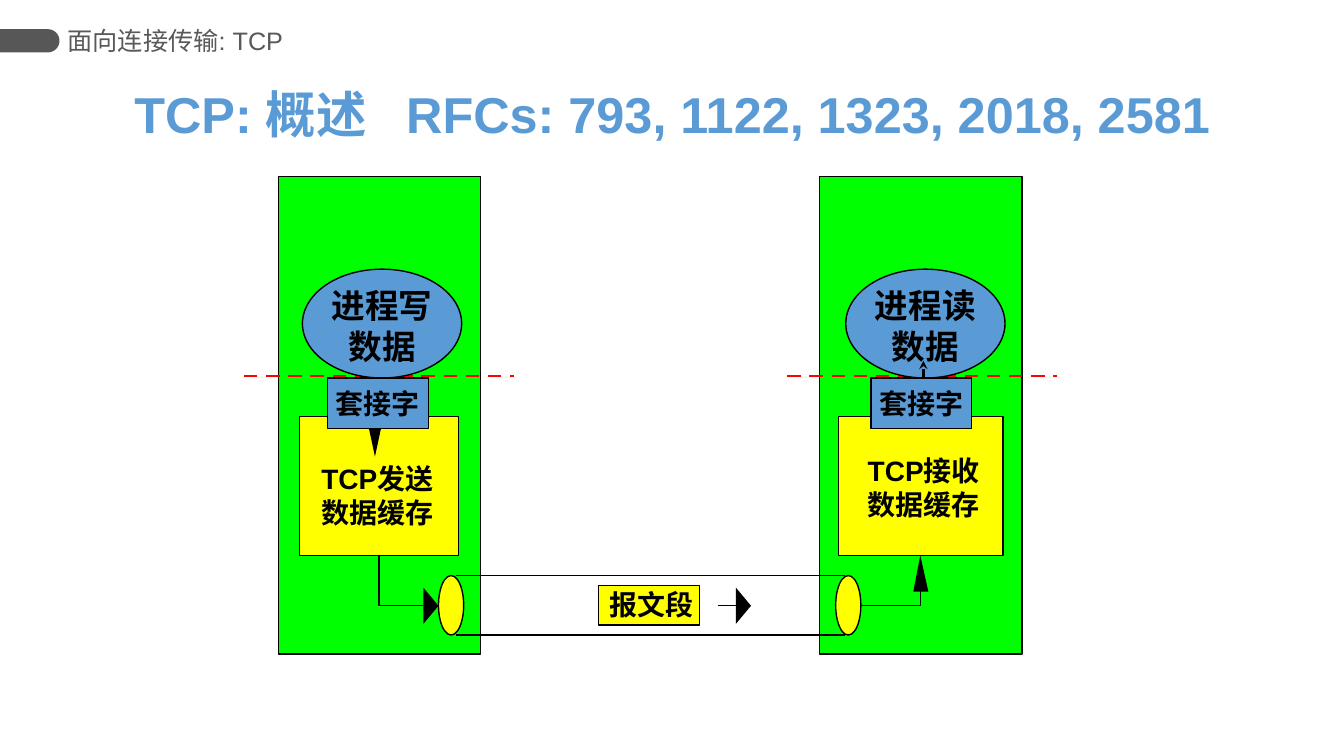
from dataclasses import dataclass
from math import cos, pi, sin

from lxml.etree import SubElement
from pptx import Presentation
from pptx.dml.color import RGBColor
from pptx.enum.shapes import MSO_CONNECTOR as Link, MSO_SHAPE as Kind
from pptx.enum.text import MSO_ANCHOR as Anchor, PP_ALIGN as Align
from pptx.oxml.ns import qn
from pptx.util import Inches, Pt

Point = tuple[float, float]
CELL = 0.1  # side of one grid column and row, in inches
COLUMNS, ROWS = 133.33, 75


@dataclass(frozen=True)
class Theme:
    body: str = "Arial"
    accent: str = "Comic Neue"
    black: str = "000000"
    grey: str = "595959"
    tab: str = "575757"
    blue: str = "5B9BD5"
    green: str = "00FF00"
    yellow: str = "FFFF00"
    red: str = "FF0000"
    header: int = 18
    title: int = 36
    process: int = 24
    label: int = 20


@dataclass(frozen=True)
class Area:
    left: float
    top: float
    width: float
    height: float


@dataclass(frozen=True)
class Host:
    body: Area
    buffer: Area
    buffer_label: Area
    buffer_text: str
    process_left: float
    process_text: str


THEME = Theme()
HOSTS = (
    Host(Area(27.6, 17.5, 20.1, 47.4), Area(29.7, 41.3, 15.8, 13.8),
         Area(30.8, 45.8, 13.3, 6.7), "TCP发送数据缓存", 30, "进程写数据"),
    Host(Area(81.3, 17.5, 20.1, 47.4), Area(83.2, 41.3, 16.3, 13.8),
         Area(85, 45, 13.3, 6.7), "TCP接收数据缓存", 83.9, "进程读数据"),
)
PIPE_ENDS = (43.5, 82.9)
FLOW_ROW = 60.1
ARROWHEADS: tuple[tuple[Point, ...], ...] = (
    ((37.8, 42.5), (37.2, 45.3), (36.6, 42.5)),  # socket to send buffer
    ((42, 58.3), (43.5, FLOW_ROW), (42, 61.9)),  # into the pipe
    ((73, 58.3), (74.5, FLOW_ROW), (73, 61.9)),  # along the pipe
    ((90.6, 58.7), (91.3, 55.1), (92.1, 58.7)),  # into the receive buffer
)
ELBOWS: tuple[tuple[Point, ...], ...] = (
    ((37.6, 55.1), (37.6, FLOW_ROW), (42.1, FLOW_ROW)),
    ((85.5, FLOW_ROW), (91.3, FLOW_ROW), (91.3, 58.3)),
)

deck = Presentation()
deck.slide_width, deck.slide_height = Inches(COLUMNS * CELL), Inches(ROWS * CELL)
page = deck.slides.add_slide(deck.slide_layouts[6])


def grid(cells: float) -> int:
    return Inches(cells * CELL)


def paint(shape, fill: str | None, line: str | None) -> None:
    shape.shadow.inherit = False
    if fill:
        shape.fill.solid()
        shape.fill.fore_color.rgb = RGBColor.from_string(fill)
    else:
        shape.fill.background()
    if line:
        shape.line.color.rgb = RGBColor.from_string(line)
        shape.line.width = Pt(1)
    else:
        shape.line.fill.background()


def draw_shape(kind: Kind, area: Area, fill: str):
    shape = page.shapes.add_shape(kind, grid(area.left), grid(area.top),
                                  grid(area.width), grid(area.height))
    paint(shape, fill, THEME.black)
    return shape


def draw_path(points: tuple[Point, ...], fill: str | None, line: str | None) -> None:
    corners = [(grid(x), grid(y)) for x, y in points]
    builder = page.shapes.build_freeform(*corners[0])
    builder.add_line_segments(corners[1:], close=fill is not None)
    paint(builder.convert_to_shape(), fill, line)


def draw_line(start: Point, end: Point, color: str, width: float = 1):
    line = page.shapes.add_connector(Link.STRAIGHT, grid(start[0]), grid(start[1]),
                                     grid(end[0]), grid(end[1]))
    line.line.color.rgb = RGBColor.from_string(color)
    line.line.width = Pt(width)
    SubElement(line.line._get_or_add_ln().getparent(), qn("a:effectLst"))
    return line


def write(box, text: str, size: int, color: str = THEME.black, bold: bool = True,
          font: str = THEME.body, align: Align = Align.CENTER, wrap: bool = True,
          anchor: Anchor = Anchor.TOP, margin: float = 0):
    frame = box.text_frame
    frame.word_wrap, frame.vertical_anchor = wrap, anchor
    frame.margin_left = frame.margin_right = grid(margin)
    frame.margin_top = frame.margin_bottom = grid(margin / 2)
    para = frame.paragraphs[0]
    para.alignment = align
    para.font.name, para.font.size, para.font.bold = font, Pt(size), bold
    para.font.color.rgb = RGBColor.from_string(color)
    para.add_run().text = text
    return para


def add_box(area: Area):
    return page.shapes.add_textbox(grid(area.left), grid(area.top),
                                   grid(area.width), grid(area.height))


def draw_boundary(left: float, row: float) -> None:
    right, pitch, dash = left + 26.8, 2.2, 1.33
    for step in range(13):
        start = left + step * pitch
        draw_line((start, row), (min(start + dash, right), row), THEME.red)


def draw_host(host: Host) -> None:
    draw_shape(Kind.RECTANGLE, host.body, THEME.green)
    draw_shape(Kind.RECTANGLE, host.buffer, THEME.yellow)
    write(add_box(host.buffer_label), host.buffer_text, THEME.label)
    left = host.process_left
    draw_boundary(left - 5.8, 37.3)
    draw_shape(Kind.OVAL, Area(left, 26.7, 15.8, 10.8), THEME.blue)
    write(add_box(Area(left + 2.5, 28.3, 10.8, 8)), host.process_text, THEME.process)
    socket = draw_shape(Kind.RECTANGLE, Area(left + 2.5, 37.5, 10, 5), THEME.blue)
    write(socket, "套接字", THEME.label, font=THEME.accent, wrap=False,
          anchor=Anchor.MIDDLE, margin=1)


# Header tab, rounded on the right
radius, tab_row = 1.15, 4.05
arc = tuple((4.75 + radius * cos(turn), tab_row + radius * sin(turn))
            for turn in (pi * (step / 24 - 0.5) for step in range(25)))
draw_path(((0, tab_row - radius), *arc, (0, tab_row + radius)), THEME.tab, None)
write(add_box(Area(6.7, 1.9, 23.3, 4.2)), "面向连接传输: TCP", THEME.header, THEME.grey,
      bold=False, align=Align.LEFT, wrap=False, anchor=Anchor.MIDDLE)

# Title, with a widened space between its two parts
title = write(add_box(Area(11.7, 7.8, 110, 7.1)), "TCP: 概述", THEME.title,
              THEME.blue, margin=1)
gap = title.add_run()
gap.text = " "
gap.font._element.set("spc", "2000")
title.add_run().text = "RFCs: 793, 1122, 1323, 2018, 2581"

# Sending and receiving hosts
for host in HOSTS:
    draw_host(host)

# Pipe between the hosts
for end in PIPE_ENDS:
    draw_shape(Kind.OVAL, Area(end, 57.1, 2.5, 5.9), THEME.yellow)
for edge in (57.1, 63):
    draw_line((45.2, edge), (83.8, edge), THEME.black)

# Segment travelling in the pipe
draw_shape(Kind.RECTANGLE, Area(59.4, 58.1, 10, 3.9), THEME.yellow)
write(add_box(Area(60.4, 58.3, 8.4, 3.3)), "报文段", THEME.label, wrap=False)

# Data flow
draw_line((71.2, FLOW_ROW), (73.2, FLOW_ROW), THEME.black)
for elbow in ELBOWS:
    draw_path(elbow, None, THEME.black)
for arrowhead in ARROWHEADS:
    draw_path(arrowhead, THEME.black, None)
delivery = draw_line((91.6, 37.5), (91.6, 35.8), THEME.black, width=2)
SubElement(delivery.line._get_or_add_ln(), qn("a:tailEnd"), type="stealth")

deck.save("out.pptx")
